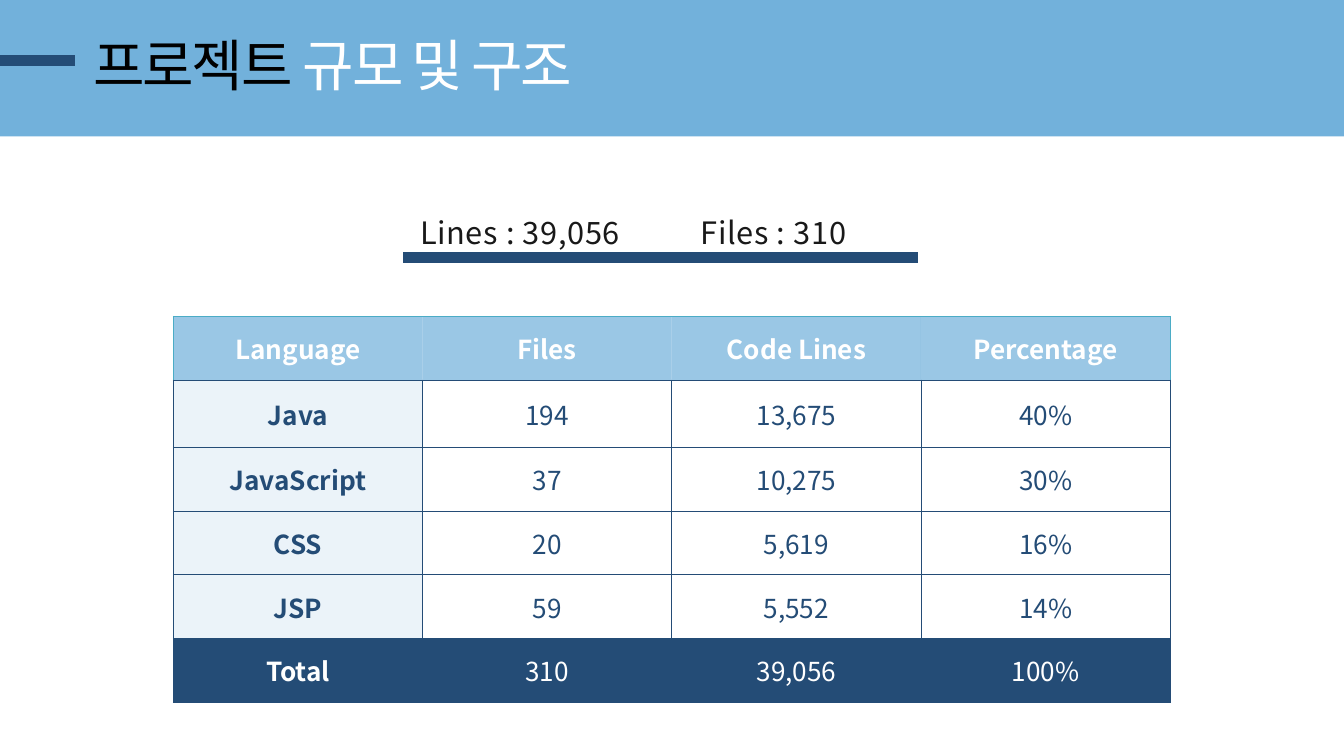
import lxml.etree
import pptx
import pptx.dml.color
import pptx.enum.shapes
import pptx.enum.text
import pptx.oxml
import pptx.oxml.ns
import pptx.util

Cm = pptx.util.Cm
Pt = pptx.util.Pt
qn = pptx.oxml.ns.qn

COLORS = {
    "sky": "72B1DB",
    "navy": "244C76",
    "teal": "4BACC6",
    "white": "FFFFFF",
    "black": "000000",
    "ink": "191919",
}
ROWS = [
    ["Language", "Files", "Code Lines", "Percentage"],
    ["Java", "194", "13,675", "40%"],
    ["JavaScript", "37", "10,275", "30%"],
    ["CSS", "20", "5,619", "16%"],
    ["JSP", "59", "5,552", "14%"],
    ["Total", "310", "39,056", "100%"],
]
ROW_HEIGHTS = [2.41, 2.54, 2.41, 2.41, 2.41, 2.41]
COLUMN_WIDTH = 9.42


class SlideBuilder:
    font_name = "Noto Sans CJK KR"

    def __init__(self, slide):
        self.slide = slide

    def color(self, name):
        return pptx.dml.color.RGBColor.from_string(COLORS[name])

    def style(self, span, size, color, bold=False, spacing=None):
        span.font.size = Pt(size)
        span.font.bold = bold
        span.font.color.rgb = self.color(color)
        span.font.name = self.font_name
        properties = span.font._element
        east_asian = lxml.etree.SubElement(properties, qn("a:ea"))
        east_asian.set("typeface", self.font_name)
        if spacing is not None:
            properties.set("spc", str(round(spacing * 100)))

    def band(self, left, top, width, height, color):
        shape = self.slide.shapes.add_shape(
            pptx.enum.shapes.MSO_SHAPE.RECTANGLE,
            Cm(left), Cm(top), Cm(width), Cm(height))
        shape.shadow.inherit = False
        shape.fill.solid()
        shape.fill.fore_color.rgb = self.color(color)
        shape.line.fill.background()

    def rule(self, start, end, top, color="navy", width=11.25):
        line = self.slide.shapes.add_connector(
            pptx.enum.shapes.MSO_CONNECTOR.STRAIGHT,
            Cm(start), Cm(top), Cm(end), Cm(top))
        line.line.color.rgb = self.color(color)
        line.line.width = Pt(width)
        lxml.etree.SubElement(line._element.spPr, qn("a:effectLst"))

    def text(self, left, top, width, height, parts, size, line_spacing,
             spacing, tab=None):
        box = self.slide.shapes.add_textbox(
            Cm(left), Cm(top), Cm(width), Cm(height))
        frame = box.text_frame
        frame.word_wrap = True
        frame.margin_left = frame.margin_right = 0
        frame.margin_top = frame.margin_bottom = 0
        para = frame.paragraphs[0]
        para.line_spacing = Pt(line_spacing)
        if tab is not None:
            tabs = lxml.etree.SubElement(
                para._element.get_or_add_pPr(), qn("a:tabLst"))
            lxml.etree.SubElement(
                tabs, qn("a:tab"), pos=str(Cm(tab)), algn="l")
        for content, color in parts:
            span = para.add_run()
            span.text = content
            self.style(span, size, color, spacing=spacing)

    def borders(self, cell, sides):
        properties = cell._tc.get_or_add_tcPr()
        for side in "LRTB":
            line = lxml.etree.SubElement(
                properties, qn("a:ln" + side), w=str(Pt(1)))
            if side in sides:
                fill = lxml.etree.SubElement(line, qn("a:solidFill"))
                lxml.etree.SubElement(
                    fill, qn("a:srgbClr"), val=COLORS[sides[side]])
            else:
                lxml.etree.SubElement(line, qn("a:noFill"))

    def cell(self, cell, content, fill, alpha, color, bold, sides):
        self.borders(cell, sides)
        cell.fill.solid()
        cell.fill.fore_color.rgb = self.color(fill)
        if alpha < 100:
            tint = cell._tc.tcPr.find(qn("a:solidFill"))[0]
            lxml.etree.SubElement(
                tint, qn("a:alpha"), val=str(alpha * 1000))
        cell.vertical_anchor = pptx.enum.text.MSO_ANCHOR.MIDDLE
        para = cell.text_frame.paragraphs[0]
        para.text = content
        para.alignment = pptx.enum.text.PP_ALIGN.CENTER
        self.style(para.runs[0], 28, color, bold)

    def table(self, left, top, rows, heights, column_width):
        last_row, last_column = len(rows) - 1, len(rows[0]) - 1
        table = self.slide.shapes.add_table(
            len(rows), len(rows[0]), Cm(left), Cm(top),
            Cm(column_width * len(rows[0])), Cm(sum(heights))).table
        table.first_row = table.horz_banding = False
        for column in table.columns:
            column.width = Cm(column_width)
        for r, values in enumerate(rows):
            table.rows[r].height = Cm(heights[r])
            for c, content in enumerate(values):
                sides = dict.fromkeys("LRTB", "navy")
                fill, alpha, color = "white", 100, "navy"
                if r == 0:
                    # Header: outer teal edge, no inner dividers
                    fill, alpha, color = "sky", 71, "white"
                    sides = {"T": "teal", "B": "navy"}
                    if c == 0:
                        sides["L"] = "teal"
                    if c == last_column:
                        sides["R"] = "teal"
                elif r == last_row:
                    fill, color = "navy", "white"
                elif c == 0:
                    fill, alpha = "sky", 14
                self.cell(table.cell(r, c), content, fill, alpha, color,
                          r == 0 or c == 0, sides)


def main():
    deck = pptx.Presentation()
    deck.slide_width = Cm(50.8)
    deck.slide_height = Cm(28.58)
    page = SlideBuilder(deck.slides.add_slide(deck.slide_layouts[6]))

    # Title band
    page.band(-0.3, -0.53, 51.4, 5.69, "sky")
    page.rule(-0.86, 2.84, 2.29)
    page.text(3.53, 1.17, 31.88, 2.44,
              [("프로젝트 ", "black"), ("규모 및 구조", "white")],
              size=60, line_spacing=72, spacing=-2.4)

    # Language breakdown
    page.table(6.55, 11.96, ROWS, ROW_HEIGHTS, COLUMN_WIDTH)

    # Project totals
    page.rule(15.24, 34.7, 9.73)
    page.text(15.88, 7.72, 19.05, 1.7,
              [("Lines : 39,056\tFiles : 310", "ink")],
              size=33, line_spacing=49.5, spacing=0.7, tab=10.6)

    deck.save("out.pptx")


if __name__ == "__main__":
    main()
